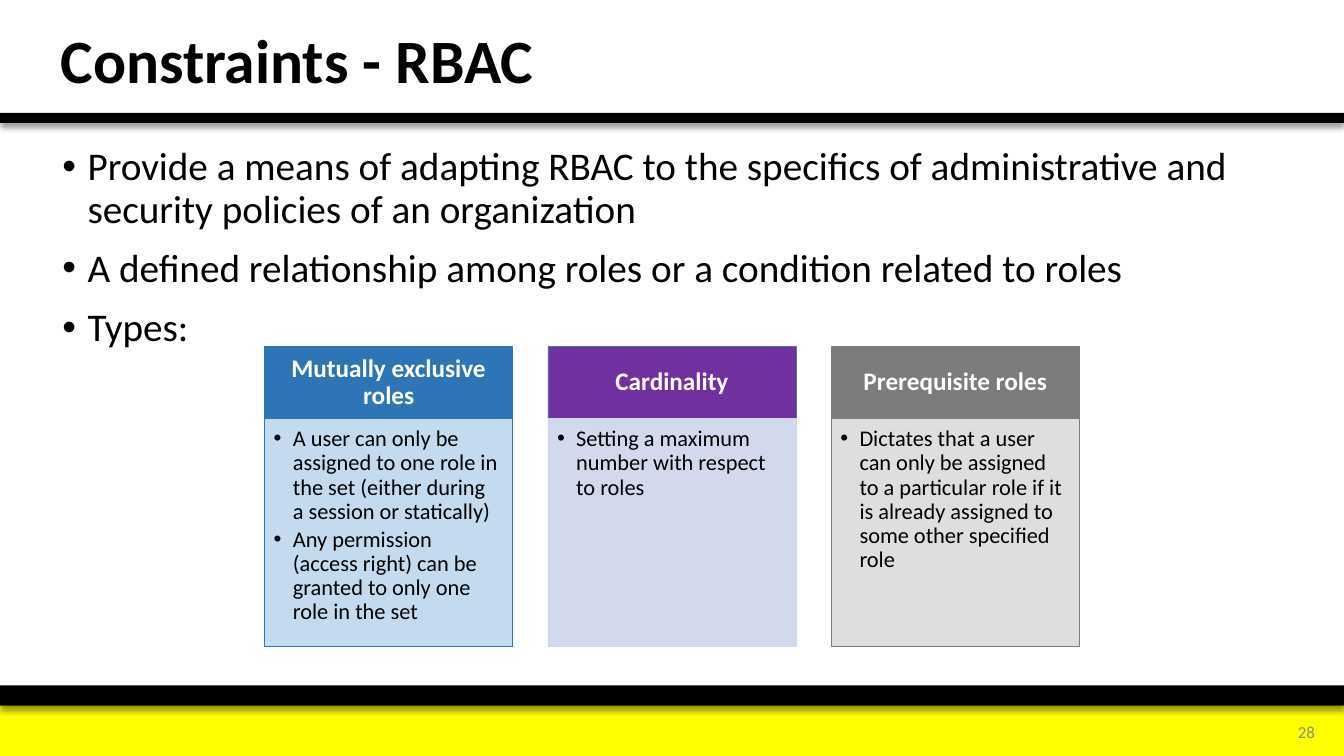
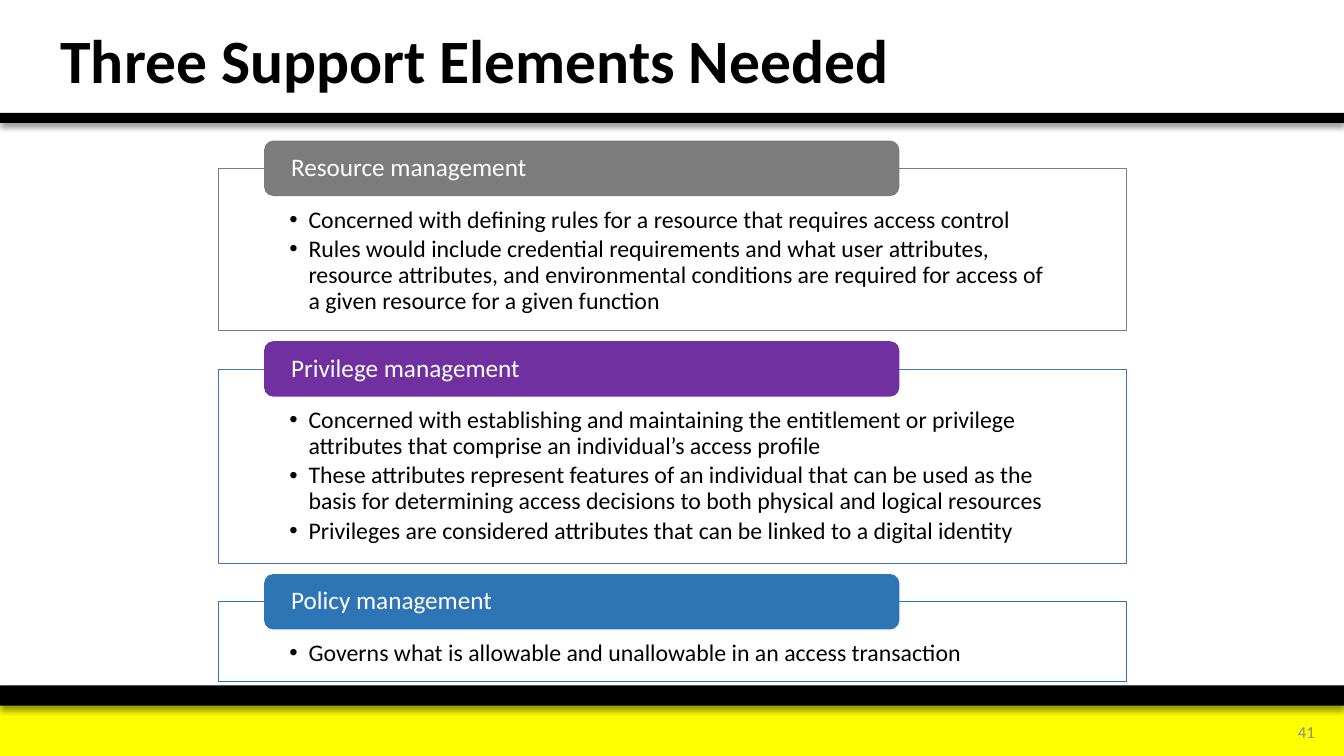
from dataclasses import dataclass

from lxml import etree
from pptx import Presentation
from pptx import util as u
from pptx.dml.color import RGBColor
from pptx.enum import shapes, text
from pptx.oxml import ns


@dataclass(frozen=True)
class Theme:
    font: str = "Calibri"
    black: str = "000000"
    white: str = "FFFFFF"
    yellow: str = "FFFF00"
    blue: str = "2E75B6"
    edge_blue: str = "4472C4"
    purple: str = "7030A0"
    gray: str = "7C7C7C"
    pale_blue: str = "BDD7EE"
    pale_purple: str = "CFD5EA"
    pale_gray: str = "DBDBDB"
    number_gray: str = "8C8C8C"
    title_size: int = 44
    body_size: int = 28
    heading_size: int = 18
    panel_size: int = 17
    column_size: int = 16
    number_size: int = 12
    panel_opacity: int = 90
    item_gap: float = 2.7


THEME = Theme()
SLIDE_WIDTH, SLIDE_HEIGHT = 13.33, 7.5
TEXT_INSETS = (0.1, 0.05, 0.1, 0.05)

# Content
CONSTRAINTS = {
    "title": "Constraints - RBAC",
    "number": "28",
    "points": [
        "Provide a means of adapting RBAC to the specifics of administrative and security policies of an organization",
        "A defined relationship among roles or a condition related to roles",
        "Types:",
    ],
    # heading, heading fill, heading line, body fill, body line, items
    "columns": [
        ("Mutually exclusive roles", THEME.blue, THEME.blue, THEME.pale_blue, THEME.blue, [
            "A user can only be assigned to one role in the set (either during a session or statically)",
            "Any permission (access right) can be granted to only one role in the set",
        ]),
        ("Cardinality", THEME.purple, THEME.edge_blue, THEME.pale_purple, THEME.pale_purple, [
            "Setting a maximum number with respect to roles",
        ]),
        ("Prerequisite roles", THEME.gray, THEME.gray, THEME.pale_gray, THEME.gray, [
            "Dictates that a user can only be assigned to a particular role if it is already assigned to some other specified role",
        ]),
    ],
}

SUPPORT = {
    "title": "Three Support Elements Needed",
    "number": "41",
    # heading, tab fill, panel line, panel height, items
    "panels": [
        ("Resource management", THEME.gray, THEME.gray, 1.61, [
            "Concerned with defining rules for a resource that requires access control",
            "Rules would include credential requirements and what user attributes, resource attributes, "
            "and environmental conditions are required for access of a given resource for a given function",
        ]),
        ("Privilege management", THEME.purple, THEME.edge_blue, 1.93, [
            "Concerned with establishing and maintaining the entitlement or privilege attributes that "
            "comprise an individual’s access profile",
            "These attributes represent features of an individual that can be used as the basis for "
            "determining access decisions to both physical and logical resources",
            "Privileges are considered attributes that can be linked to a digital identity",
        ]),
        ("Policy management", THEME.blue, THEME.blue, 0.79, [
            "Governs what is allowable and unallowable in an access transaction",
        ]),
    ],
}


# Helpers
def rgb(color):
    return RGBColor.from_string(color)


def place(left, top, width, height):
    return [u.Inches(value) for value in (left, top, width, height)]


def add_bullet(para, indent):
    props = para._p.get_or_add_pPr()
    props.set("marL", str(u.Inches(indent)))
    props.set("indent", str(-u.Inches(indent)))
    etree.SubElement(props, ns.qn("a:buFont"), typeface="Arial")
    etree.SubElement(props, ns.qn("a:buChar"), char="•")


def write(box, lines, size, color=THEME.black, bold=False, align=text.PP_ALIGN.LEFT,
          anchor=text.MSO_ANCHOR.TOP, insets=TEXT_INSETS, indent=None,
          before=0, after=0, spacing=0.9):
    frame = box.text_frame
    frame.word_wrap = True
    frame.auto_size = text.MSO_AUTO_SIZE.NONE
    frame.vertical_anchor = anchor
    (frame.margin_left, frame.margin_top,
     frame.margin_right, frame.margin_bottom) = place(*insets)
    for index, line in enumerate(lines):
        para = frame.add_paragraph() if index else frame.paragraphs[0]
        if indent:
            add_bullet(para, indent)
        para.alignment = align
        para.line_spacing = spacing
        para.space_before = u.Pt(before if index else 0)
        para.space_after = u.Pt(after)
        span = para.add_run()
        span.text = line
        span.font.name = THEME.font
        span.font.size = u.Pt(size)
        span.font.bold = bold
        span.font.color.rgb = rgb(color)


def add_block(page, area, fill, line=None, opacity=100, rounded=False):
    kind = shapes.MSO_SHAPE.ROUNDED_RECTANGLE if rounded else shapes.MSO_SHAPE.RECTANGLE
    block = page.shapes.add_shape(kind, *place(*area))
    block.shadow.inherit = False
    block.fill.solid()
    block.fill.fore_color.rgb = rgb(fill)
    if opacity < 100:
        fill_color = block._element.spPr.find(".//" + ns.qn("a:srgbClr"))
        etree.SubElement(fill_color, ns.qn("a:alpha"), val=str(opacity * 1000))
    if line:
        block.line.color.rgb = rgb(line)
        block.line.width = u.Pt(0.5)
    else:
        block.line.fill.background()
    return block


def add_shadow(block):
    effects = block._element.spPr.find(ns.qn("a:effectLst"))
    shadow = etree.SubElement(effects, ns.qn("a:outerShdw"), blurRad=str(u.Pt(4)),
                              dist=str(u.Pt(3)), dir="5400000", algn="t", rotWithShape="0")
    color = etree.SubElement(shadow, ns.qn("a:srgbClr"), val=THEME.black)
    etree.SubElement(color, ns.qn("a:alpha"), val="40000")


def add_page(deck, content):
    """Add a slide with the shared title, bands and page number."""
    page = deck.slides.add_slide(deck.slide_layouts[5])
    add_block(page, (0, 7, SLIDE_WIDTH, 0.5), THEME.yellow)
    for top, height in ((6.8, 0.2), (1.12, 0.1)):
        add_shadow(add_block(page, (0, top, SLIDE_WIDTH, height), THEME.black))
    title = page.shapes.title
    title.left, title.top, title.width, title.height = place(0.5, 0.07, 9, 1.12)
    write(title, [content["title"]], THEME.title_size, bold=True, anchor=text.MSO_ANCHOR.MIDDLE)
    number = page.shapes.add_textbox(*place(12.38, 7.06, 0.76, 0.4))
    write(number, [content["number"]], THEME.number_size, THEME.number_gray,
          align=text.PP_ALIGN.RIGHT, anchor=text.MSO_ANCHOR.MIDDLE, spacing=1.0)
    return page


# Slides
def build_constraints(deck):
    page = add_page(deck, CONSTRAINTS)
    points = page.shapes.add_textbox(*place(0.52, 1.41, 12.29, 2.21))
    write(points, CONSTRAINTS["points"], THEME.body_size, indent=0.25, before=12)

    columns = CONSTRAINTS["columns"]
    width, gap, top, head_height, body_height = 2.46, 0.35, 3.44, 0.71, 2.26
    start = (SLIDE_WIDTH - len(columns) * width - (len(columns) - 1) * gap) / 2
    for index, (heading, head_fill, head_line, body_fill, body_line, items) in enumerate(columns):
        left = start + index * (width + gap)
        head = add_block(page, (left, top, width, head_height), head_fill, head_line)
        write(head, [heading], THEME.heading_size, THEME.white, bold=True,
              align=text.PP_ALIGN.CENTER, anchor=text.MSO_ANCHOR.MIDDLE,
              insets=(0.14, 0.08, 0.14, 0.08))
        body = add_block(page, (left, top + head_height, width, body_height),
                         body_fill, body_line, THEME.panel_opacity)
        write(body, items, THEME.column_size, insets=(0.09, 0.09, 0.12, 0.14),
              indent=0.19, after=THEME.item_gap)


def build_support(deck):
    page = add_page(deck, SUPPORT)
    left, width, top, gap = 2.17, 9, 1.67, 0.38
    tab_shift, tab_width, tab_height = 0.45, 6.3, 0.55
    for heading, color, line, height, items in SUPPORT["panels"]:
        panel = add_block(page, (left, top, width, height), THEME.white, line, THEME.panel_opacity)
        write(panel, items, THEME.panel_size, insets=(0.7, 0.39, 0.7, 0.13),
              indent=0.19, after=THEME.item_gap)
        # Each tab is centred on the top edge of its panel
        tab = add_block(page, (left + tab_shift, top - tab_height / 2, tab_width, tab_height),
                        color, rounded=True)
        write(tab, [heading], THEME.heading_size, THEME.white,
              anchor=text.MSO_ANCHOR.MIDDLE, insets=(0.24, 0, 0.24, 0))
        top += height + gap


def main():
    deck = Presentation()
    deck.slide_width = u.Inches(SLIDE_WIDTH)
    deck.slide_height = u.Inches(SLIDE_HEIGHT)
    build_constraints(deck)
    build_support(deck)
    deck.save("out.pptx")


if __name__ == "__main__":
    main()
